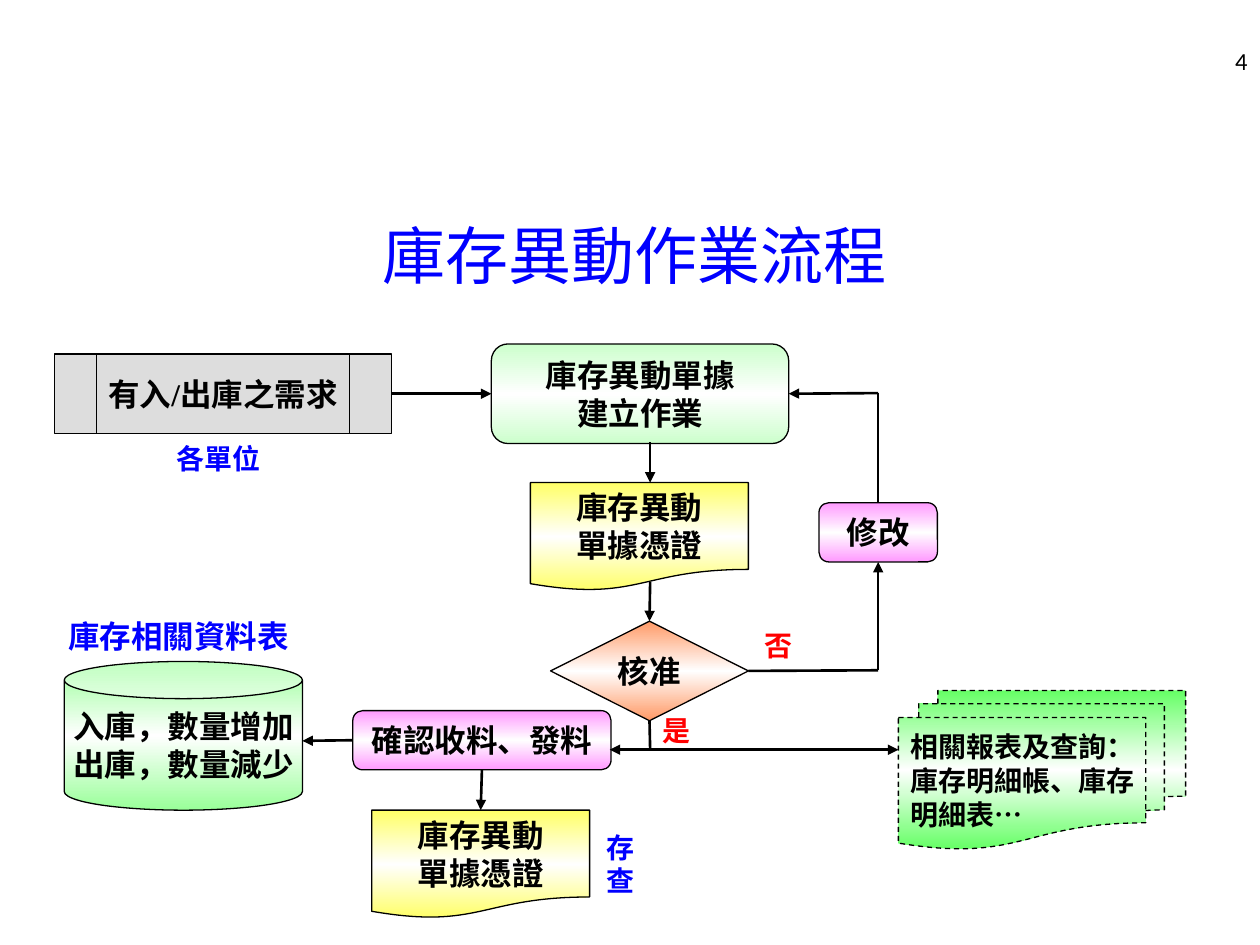
from copy import deepcopy

from lxml import etree
from pptx import Presentation
from pptx.dml.color import RGBColor
from pptx.enum.dml import MSO_LINE
from pptx.enum.shapes import MSO_CONNECTOR, MSO_SHAPE
from pptx.enum.text import MSO_ANCHOR, PP_ALIGN
from pptx.oxml.ns import qn
from pptx.util import Inches, Pt

BLACK = RGBColor(0x00, 0x00, 0x00)
WHITE = RGBColor(0xFF, 0xFF, 0xFF)
BLUE = RGBColor(0x00, 0x00, 0xFF)
RED = RGBColor(0xFF, 0x00, 0x00)
GRAY = RGBColor(0xDD, 0xDD, 0xDD)
ORANGE = RGBColor(0xFF, 0x99, 0x66)
PINK = RGBColor(0xFF, 0x99, 0xFF)
YELLOW = RGBColor(0xFF, 0xFF, 0x66)
PALE_GREEN = RGBColor(0xCC, 0xFF, 0xCC)
GREEN = RGBColor(0x99, 0xFF, 0x99)
BRIGHT_GREEN = RGBColor(0x66, 0xFF, 0x66)

SANS, SERIF, CJK = "Arial", "Times New Roman", "Noto Sans CJK SC"
LEFT, CENTER, RIGHT = PP_ALIGN.LEFT, PP_ALIGN.CENTER, PP_ALIGN.RIGHT
MIDDLE = MSO_ANCHOR.MIDDLE
STRAIGHT = MSO_CONNECTOR.STRAIGHT
DASH = MSO_LINE.DASH
ROUNDED = MSO_SHAPE.ROUNDED_RECTANGLE
DECISION = MSO_SHAPE.FLOWCHART_DECISION
DOCUMENT = MSO_SHAPE.FLOWCHART_DOCUMENT
MULTIDOCUMENT = MSO_SHAPE.FLOWCHART_MULTIDOCUMENT
PROCESS = MSO_SHAPE.FLOWCHART_PREDEFINED_PROCESS
CAN = MSO_SHAPE.CAN
TOP_SIDE, LEFT_SIDE, BOTTOM_SIDE, RIGHT_SIDE = range(4)


class FlowSlide:
    """Style and drawing methods for one flowchart slide."""

    def __init__(self, page):
        self.page = page
        self.shapes = page.shapes

    def set_text(self, frame, lines, size, font, color, bold=True, align=CENTER, wrap=False):
        frame.word_wrap = wrap
        frame.vertical_anchor = MIDDLE
        for index, line in enumerate(lines):
            para = frame.add_paragraph() if index else frame.paragraphs[0]
            para.alignment = align
            span = para.add_run()
            span.text = line
            span.font.size = Pt(size)
            span.font.name = font
            span.font.bold = bold
            span.font.color.rgb = color
            east_asian = etree.Element(qn("a:ea"), typeface=CJK)
            span.font._element.find(qn("a:latin")).addnext(east_asian)

    def title(self, text, *place):
        box = self.shapes.title
        box.left, box.top, box.width, box.height = map(Inches, place)
        self.set_text(box.text_frame, [text], 36, SERIF, BLUE, bold=False, wrap=True)

    def label(self, text, *place, size=16, font=SERIF, color=BLUE, bold=True, align=CENTER):
        box = self.shapes.add_textbox(*map(Inches, place))
        self.set_text(box.text_frame, [text], size, font, color, bold, align)

    def blend(self, fill, color):
        """Vertical gradient: colour, white in the middle, colour again."""
        fill.gradient()
        fill.gradient_angle = 270
        first, last = fill.gradient_stops
        first.color.rgb, first.position = color, 0
        last.color.rgb, last.position = WHITE, 0.5
        stops = fill._xPr.find(qn("a:gradFill")).find(qn("a:gsLst"))
        end = deepcopy(stops[0])
        end.set("pos", "100000")
        stops.append(end)

    def step(self, kind, lines, color, *place, size=18, font=SANS, align=CENTER,
             solid=False, dash=None):
        box = self.shapes.add_shape(kind, *map(Inches, place))
        box.shadow.inherit = False
        if solid:
            box.fill.solid()
            box.fill.fore_color.rgb = color
        else:
            self.blend(box.fill, color)
        box.line.color.rgb = BLACK
        box.line.width = Pt(0.75)
        if dash:
            box.line.dash_style = dash
        self.set_text(box.text_frame, lines, size, font, BLACK, align=align)
        return box

    def link(self, start, end, begin=None, finish=None, arrow=True):
        """Line between two points; begin and finish are (box, side) joints."""
        line = self.shapes.add_connector(STRAIGHT, *map(Inches, start + end))
        line.line.color.rgb = BLACK
        line.line.width = Pt(1.5)
        if arrow:
            etree.SubElement(line.line._get_or_add_ln(), qn("a:tailEnd"),
                             type="triangle", w="med", len="med")
        etree.SubElement(line._element.spPr, qn("a:effectLst"))
        if begin:
            line.begin_connect(*begin)
        if finish:
            line.end_connect(*finish)


def main():
    deck = Presentation()
    deck.slide_width, deck.slide_height = Inches(10), Inches(7.5)
    flow = FlowSlide(deck.slides.add_slide(deck.slide_layouts[5]))

    # Title and page number
    flow.title("庫存異動作業流程", 0.43, 1.47, 9.21, 1.1)
    flow.label("4", 7.67, 0.28, 2.33, 0.4, size=14, font="Calibri", color=BLACK,
               bold=False, align=RIGHT)

    # Request and entry of the stock document
    main_x, entry_y, edit_x, branch_y = 5.16, 3.12, 6.97, 5.95
    request = flow.step(PROCESS, ["有入/出庫之需求"], GRAY, 0.43, 2.81, 2.68, 0.63,
                        font=SERIF, solid=True)
    entry = flow.step(ROUNDED, ["庫存異動單據", "建立作業"], PALE_GREEN,
                      3.9, 2.73, 2.36, 0.79)
    flow.link((3.11, entry_y), (3.9, entry_y), (request, RIGHT_SIDE), (entry, LEFT_SIDE))
    flow.link((main_x, 3.51), (main_x, 3.83))

    # Approval; its incoming arrow starts behind the voucher
    approval = flow.step(DECISION, ["核准"], ORANGE, 4.37, 4.93, 1.57, 0.79)
    flow.link((main_x, 4.62), (main_x, 4.93), finish=(approval, TOP_SIDE))
    voucher = ["庫存異動", "單據憑證"]
    flow.step(DOCUMENT, voucher, YELLOW, 4.21, 3.83, 1.73, 0.86)

    # Rejected: edit and return to entry
    edit = flow.step(ROUNDED, ["修改"], PINK, 6.5, 3.99, 0.94, 0.47)
    flow.link((5.95, 5.32), (edit_x, 5.32), begin=(approval, RIGHT_SIDE), arrow=False)
    flow.link((edit_x, 5.32), (edit_x, 4.46), finish=(edit, BOTTOM_SIDE))
    flow.link((edit_x, 3.99), (edit_x, entry_y), begin=(edit, TOP_SIDE), arrow=False)
    flow.link((edit_x, entry_y), (6.26, entry_y), finish=(entry, RIGHT_SIDE))

    # Approved: confirmation, stock tables, filed voucher and reports
    confirm = flow.step(ROUNDED, ["確認收料、發料"], PINK, 2.8, 5.64, 2.05, 0.47)
    flow.step(CAN, ["入庫，數量增加", "出庫，數量減少"], GREEN, 0.51, 5.25, 1.89, 1.18,
              font=CJK)
    filed = flow.step(DOCUMENT, voucher, YELLOW, 2.95, 6.43, 1.73, 0.86)
    flow.step(MULTIDOCUMENT, ["相關報表及查詢：", "庫存明細帳、庫存", "明細表…"],
              BRIGHT_GREEN, 7.13, 5.48, 2.28, 1.26, size=16, font=SERIF,
              align=LEFT, dash=DASH)
    flow.link((main_x, 5.72), (main_x, branch_y), begin=(approval, BOTTOM_SIDE), arrow=False)
    flow.link((main_x, branch_y), (4.84, branch_y))
    flow.link((main_x, branch_y), (7.13, branch_y))
    flow.link((2.8, 5.88), (2.4, 5.88), begin=(confirm, LEFT_SIDE))
    flow.link((3.82, 6.11), (3.82, 6.43), (confirm, BOTTOM_SIDE), (filed, TOP_SIDE))

    # Labels beside the steps
    flow.label("各單位", 0.75, 3.44, 1.97, 0.39)
    flow.label("庫存相關資料表", 0.43, 4.85, 1.97, 0.39, size=18)
    flow.label("存查", 4.61, 6.66, 0.63, 0.39, font=SANS)
    flow.label("否", 5.63, 4.93, 1.1, 0.39, color=RED)
    flow.label("是", 5.09, 5.6, 0.55, 0.39, color=RED)

    deck.save("out.pptx")


if __name__ == "__main__":
    main()
